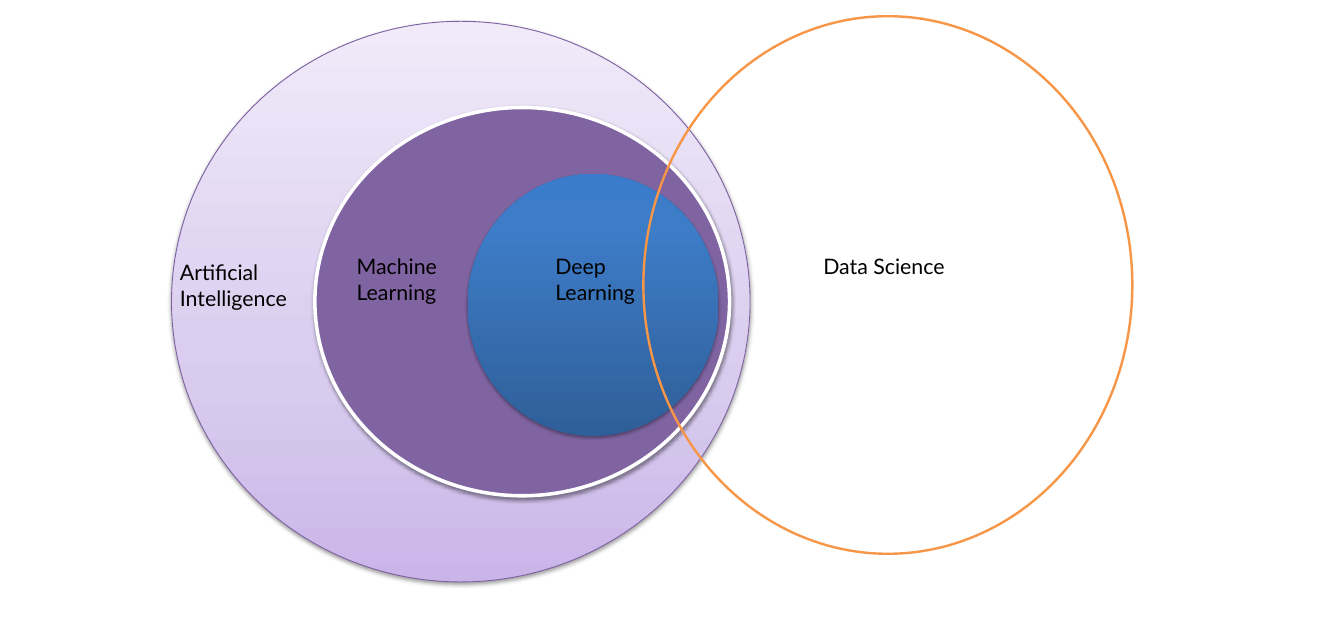
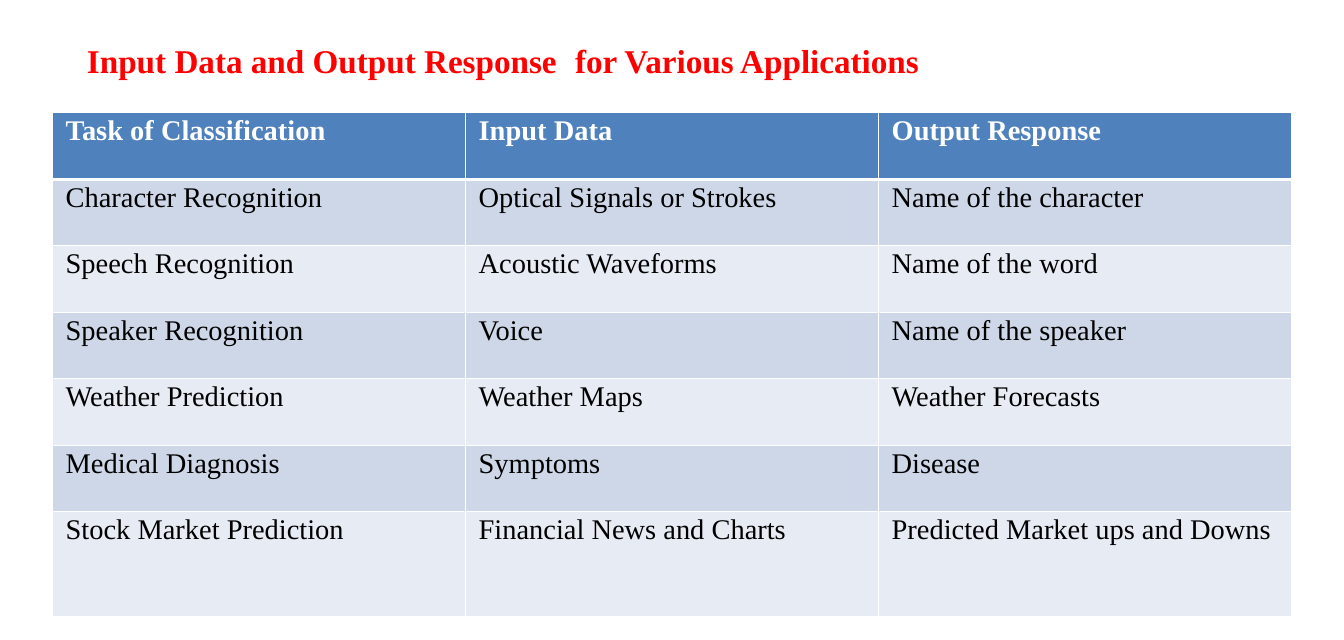
"""Two slides: how AI fields overlap, and a table of classification tasks."""
from copy import deepcopy

from lxml.etree import SubElement
from pptx import Presentation
from pptx.dml.color import RGBColor
from pptx.enum.shapes import MSO_SHAPE
from pptx.oxml.ns import qn
from pptx.util import Inches, Pt

SANS, SERIF = "Lato", "Times New Roman"
BLACK, WHITE, RED = "000000", "FFFFFF", "FF0000"
HEADER, BAND_DARK, BAND_LIGHT = "4F81BD", "CED7E7", "E7ECF4"

AI_STOPS = [(0, "C9B5E8"), (0.35, "D8CBEE"), (1, "F0EAF9")]
DEEP_STOPS = [(0, "2F5F99"), (0.8, "3D7CC7"), (1, "3A7CCB")]

# box, fill, line, (shadow opacity, shadow distance)
FIELDS = [
    ((2.01, 0.25, 6.78, 6.57), AI_STOPS, ("7D60A0", 0.75), (38, 1.6)),
    ((3.69, 1.26, 4.86, 4.55), "8064A2", (WHITE, 3), (38, 1.6)),
    ((5.48, 2.04, 2.94, 3.07), DEEP_STOPS, None, (35, 1.8)),
]
DATA_SCIENCE = ((7.54, 0.19, 5.73, 6.3), None, ("F79646", 2), None)
LABELS = [
    ((2.01, 2.99, 1.54, 0.71), "Artificial\nIntelligence"),
    ((4.08, 2.92, 1.21, 0.71), "Machine\nLearning"),
    ((6.41, 2.92, 1.66, 0.71), "Deep Learning"),
    ((9.55, 2.92, 2.72, 0.4), "Data Science"),
]

TITLE = "Input Data and Output Response\tfor Various Applications"
TASKS = [
    ("Task of Classification", "Input Data", "Output Response"),
    ("Character Recognition", "Optical Signals or Strokes", "Name of the character"),
    ("Speech Recognition", "Acoustic Waveforms", "Name of the word"),
    ("Speaker Recognition", "Voice", "Name of the speaker"),
    ("Weather Prediction", "Weather Maps", "Weather Forecasts"),
    ("Medical Diagnosis", "Symptoms", "Disease"),
    ("Stock Market Prediction", "Financial News and Charts",
     "Predicted Market ups and Downs"),
]
COL_W, ROW_H, LAST_ROW_H = 4.84, 0.78, 1.22


def rgb(color):
    return RGBColor.from_string(color)


def inches(box):
    return [Inches(v) for v in box]


def style(tf, font, size, color, bold=False):
    for p in tf.paragraphs:
        for r in p.runs:
            r.font.name, r.font.size, r.font.bold = font, Pt(size), bold
            r.font.color.rgb = rgb(color)


def add_text(s, box, text):
    tf = s.shapes.add_textbox(*inches(box)).text_frame
    tf.word_wrap = True
    tf.text = text
    return tf


def set_gradient(sp, stops):
    sp.fill.gradient()
    sp.fill.gradient_angle = 90
    gs_list = next(sp._element.spPr.iter(qn("a:gsLst")))
    while len(gs_list) < len(stops):
        gs_list.append(deepcopy(gs_list[0]))
    for stop, (position, color) in zip(sp.fill.gradient_stops, stops):
        stop.position = position
        stop.color.rgb = rgb(color)


def set_shadow(sp, opacity, distance):
    effects = sp._element.spPr.find(qn("a:effectLst"))
    shadow = SubElement(effects, qn("a:outerShdw"), blurRad=str(Pt(3.1)),
                        dist=str(Pt(distance)), dir="5400000", rotWithShape="0")
    color = SubElement(shadow, qn("a:srgbClr"), val=BLACK)
    SubElement(color, qn("a:alpha"), val=str(opacity * 1000))


def add_circle(s, box, fill, line, shadow):
    sp = s.shapes.add_shape(MSO_SHAPE.FLOWCHART_CONNECTOR, *inches(box))
    sp.shadow.inherit = False
    if fill is None:
        sp.fill.background()
    elif isinstance(fill, str):
        sp.fill.solid()
        sp.fill.fore_color.rgb = rgb(fill)
    else:
        set_gradient(sp, fill)
    if line:
        sp.line.color.rgb = rgb(line[0])
        sp.line.width = Pt(line[1])
    else:
        sp.line.fill.background()
    if shadow:
        set_shadow(sp, *shadow)


def set_borders(cell, top, bottom):
    tc_pr = cell._tc.get_or_add_tcPr()
    for side, width in (("L", 1), ("R", 1), ("T", top), ("B", bottom)):
        ln = SubElement(tc_pr, qn(f"a:ln{side}"), w=str(Pt(width)))
        SubElement(SubElement(ln, qn("a:solidFill")), qn("a:srgbClr"), val=WHITE)


def add_fields(s):
    for field in FIELDS:
        add_circle(s, *field)
    for box, text in LABELS[:-1]:
        style(add_text(s, box, text), SANS, 18, BLACK)
    add_circle(s, *DATA_SCIENCE)
    style(add_text(s, *LABELS[-1]), SANS, 18, BLACK)


def add_title(s):
    tf = add_text(s, (1.01, 0.41, 9.9, 0.49), TITLE)
    tf.margin_left, tf.margin_top = Inches(0.01), Inches(0.06)
    tf.margin_right = tf.margin_bottom = 0
    tabs = SubElement(tf.paragraphs[0]._p.get_or_add_pPr(), qn("a:tabLst"))
    SubElement(tabs, qn("a:tab"), pos=str(Inches(5.72)), algn="l")
    style(tf, SERIF, 28, RED, True)


def add_tasks(s):
    rows, cols = len(TASKS), len(TASKS[0])
    height = ROW_H * (rows - 1) + LAST_ROW_H
    box = inches((0.61, 1.32, COL_W * cols, height))
    table = s.shapes.add_table(rows, cols, *box).table
    table.horz_banding = False
    for col in table.columns:
        col.width = Inches(COL_W)
    for i, texts in enumerate(TASKS):
        table.rows[i].height = Inches(LAST_ROW_H if i == rows - 1 else ROW_H)
        fill = HEADER if i == 0 else BAND_DARK if i % 2 else BAND_LIGHT
        for j, text in enumerate(texts):
            cell = table.cell(i, j)
            cell.margin_left, cell.margin_top = Inches(0.16), Inches(0.03)
            cell.margin_right = cell.margin_bottom = 0
            set_borders(cell, 3 if i == 1 else 1, 3 if i == 0 else 1)
            cell.fill.solid()
            cell.fill.fore_color.rgb = rgb(fill)
            cell.text_frame.text = text
            style(cell.text_frame, SERIF, 24, BLACK if i else WHITE, i == 0)


def main():
    prs = Presentation()
    prs.slide_width, prs.slide_height = Inches(15.75), Inches(7.5)
    blank = prs.slide_layouts[6]
    add_fields(prs.slides.add_slide(blank))
    s = prs.slides.add_slide(blank)
    add_tasks(s)
    add_title(s)
    prs.save("out.pptx")


if __name__ == "__main__":
    main()
